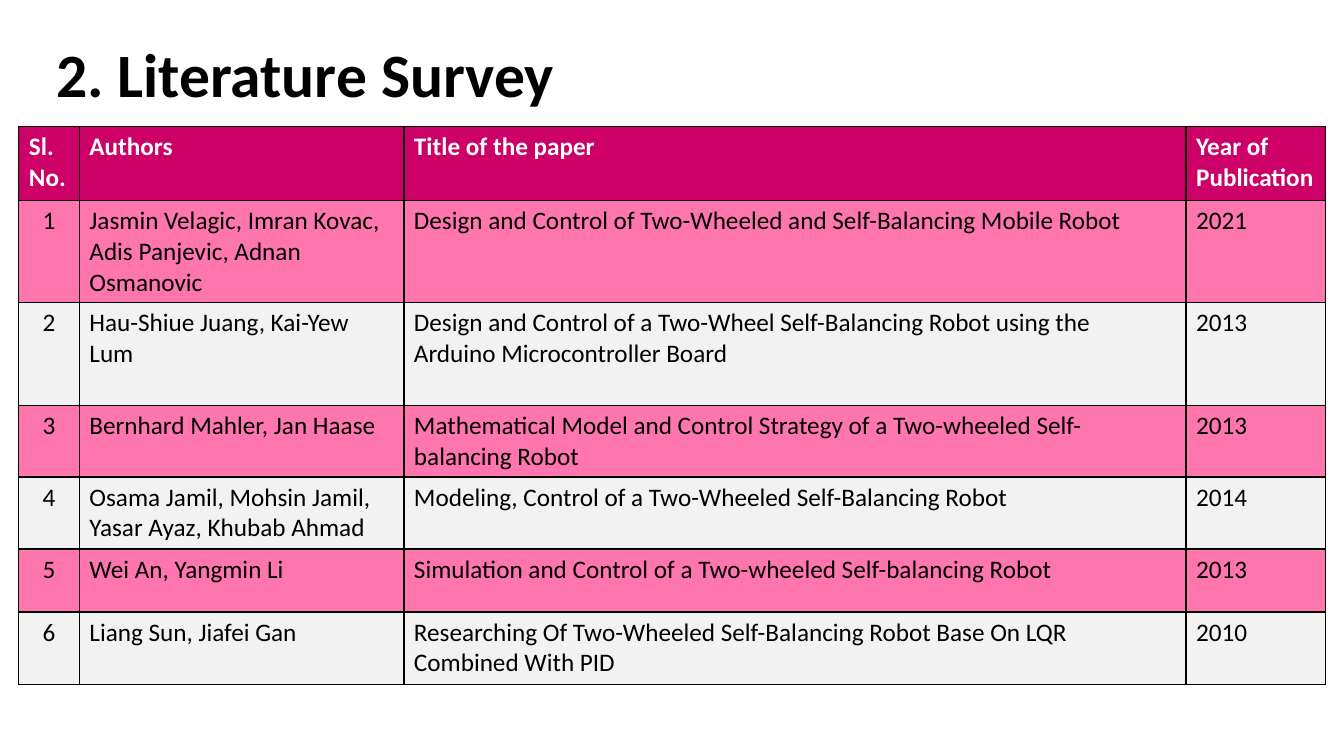
from lxml import etree
from pptx import Presentation
from pptx import util as u
from pptx.dml import color
from pptx.enum import text
from pptx.oxml import ns

FONT = "Calibri"
BLACK, WHITE = "000000", "FFFFFF"
HEADER_FILL, ODD_FILL, EVEN_FILL = "CC0066", "FF75AD", "F2F2F2"
COLUMN_WIDTHS = [43.2, 231.84, 558.72, 99.36]
ROW_HEIGHTS = [52.9, 72.9, 73.3, 51.2, 51.4, 45, 51.8]
HEADINGS = ["Sl. No.", "Authors", "Title of the paper", "Year of Publication"]
PAPERS = [
    ("Jasmin Velagic, Imran Kovac, Adis Panjevic, Adnan Osmanovic",
     "Design and Control of Two-Wheeled and Self-Balancing Mobile Robot", "2021"),
    ("Hau-Shiue Juang, Kai-Yew Lum",
     "Design and Control of a Two-Wheel Self-Balancing Robot using the "
     "Arduino Microcontroller Board", "2013"),
    ("Bernhard Mahler, Jan Haase",
     "Mathematical Model and Control Strategy of a Two-wheeled Self-balancing Robot", "2013"),
    ("Osama Jamil, Mohsin Jamil, Yasar Ayaz, Khubab Ahmad",
     "Modeling, Control of a Two-Wheeled Self-Balancing Robot", "2014"),
    ("Wei An, Yangmin Li",
     "Simulation and Control of a Two-wheeled Self-balancing Robot", "2013"),
    ("Liang Sun, Jiafei Gan",
     "Researching Of Two-Wheeled Self-Balancing Robot Base On LQR Combined With PID", "2010"),
]


def rgb(value):
    """Return the colour for a hex string."""
    return color.RGBColor.from_string(value)


def set_attributes(target, values):
    """Set each named attribute of the target."""
    for name, value in values.items():
        setattr(target, name, value)


def write(frame, content, size, bold, hex_color, **layout):
    """Put one formatted paragraph in a text frame."""
    paragraph = frame.paragraphs[0]
    set_attributes(paragraph, layout)
    run = paragraph.add_run()
    run.text = content
    set_attributes(run.font, {"name": FONT, "size": u.Pt(size), "bold": bold})
    run.font.color.rgb = rgb(hex_color)


def add_borders(cell, hex_color, width):
    """Draw a solid line on all four sides of a cell."""
    properties = cell._tc.get_or_add_tcPr()
    for index, side in enumerate(("lnL", "lnR", "lnT", "lnB")):
        line = etree.Element(ns.qn(f"a:{side}"), w=str(u.Pt(width)))
        fill = etree.SubElement(line, ns.qn("a:solidFill"))
        etree.SubElement(fill, ns.qn("a:srgbClr"), val=hex_color)
        properties.insert(index, line)


def add_title(slide, left, top, width, height):
    """Add the slide heading in the given box."""
    box = slide.shapes.add_textbox(*map(u.Pt, (left, top, width, height)))
    set_attributes(box.text_frame, {
        "word_wrap": True, "vertical_anchor": text.MSO_ANCHOR.MIDDLE})
    write(box.text_frame, "2. Literature Survey", 44, True, BLACK, line_spacing=0.9)


def add_survey(slide, left, top, width, height):
    """Add the table of papers, scaled to the given box."""
    rows = [HEADINGS] + [(str(i), *paper) for i, paper in enumerate(PAPERS, 1)]
    table = slide.shapes.add_table(
        len(rows), len(HEADINGS), *map(u.Pt, (left, top, width, height))).table
    for column, share in zip(table.columns, COLUMN_WIDTHS):
        column.width = u.Pt(share * width / sum(COLUMN_WIDTHS))
    for row, share in zip(table.rows, ROW_HEIGHTS):
        row.height = u.Pt(share * height / sum(ROW_HEIGHTS))
    for r, row in enumerate(rows):
        header = r == 0
        row_fill = HEADER_FILL if header else ODD_FILL if r % 2 else EVEN_FILL
        for c, content in enumerate(row):
            cell = table.cell(r, c)
            cell.fill.solid()
            cell.fill.fore_color.rgb = rgb(row_fill)
            add_borders(cell, BLACK, 1)
            centred = c == 0 and not header
            write(cell.text_frame, content, 18, header, WHITE if header else BLACK,
                  alignment=text.PP_ALIGN.CENTER if centred else text.PP_ALIGN.LEFT)


def main():
    """Build and save the literature survey slide."""
    presentation = Presentation()
    set_attributes(presentation, {"slide_width": u.Pt(960), "slide_height": u.Pt(540)})
    slide = presentation.slides.add_slide(presentation.slide_layouts[6])
    add_title(slide, 33, 3, 828, 104.4)
    add_survey(slide, 13.5, 90.5, sum(COLUMN_WIDTHS), sum(ROW_HEIGHTS))
    presentation.save("out.pptx")


if __name__ == "__main__":
    main()
